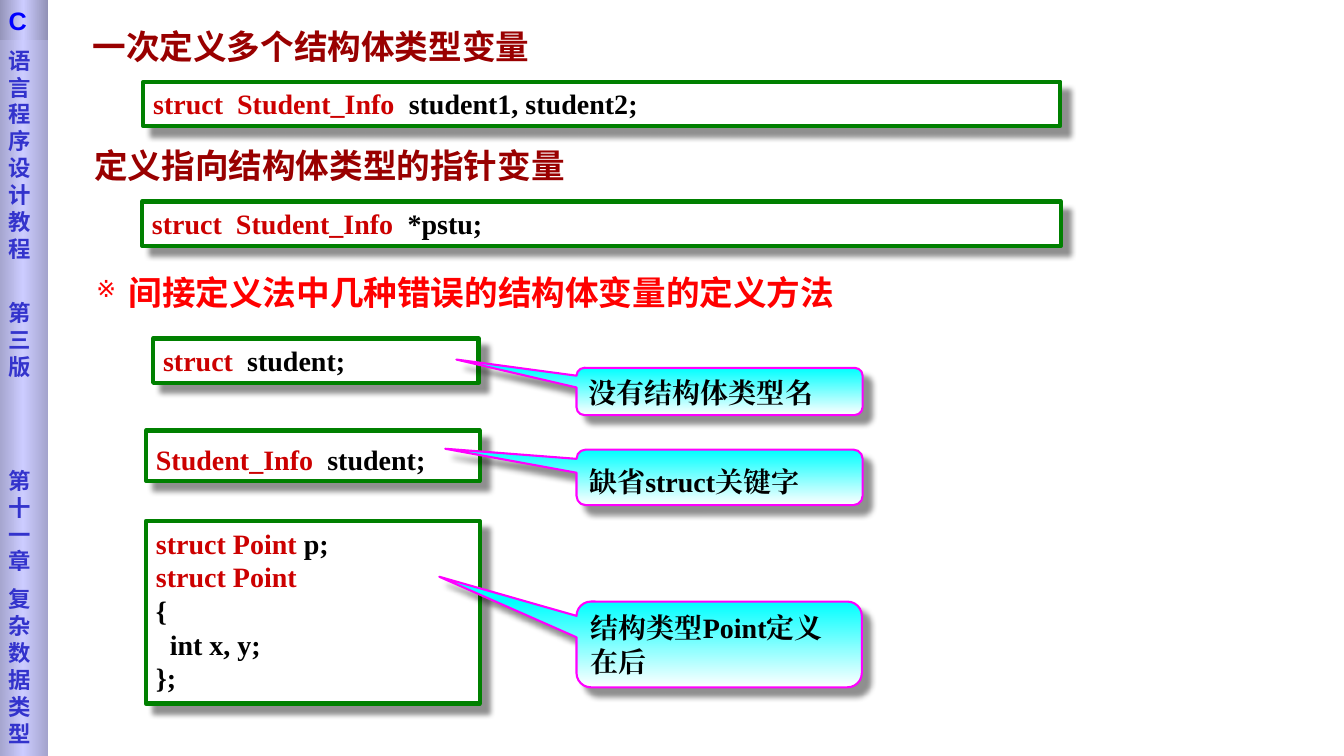
from lxml import etree
from pptx import Presentation
from pptx.dml.color import RGBColor
from pptx.enum.shapes import MSO_SHAPE
from pptx.enum.text import MSO_ANCHOR, MSO_AUTO_SIZE, PP_ALIGN
from pptx.oxml.ns import qn
from pptx.util import Cm, Pt

RECT = MSO_SHAPE.RECTANGLE
CALLOUT = MSO_SHAPE.ROUNDED_RECTANGULAR_CALLOUT
TOP, MIDDLE = MSO_ANCHOR.TOP, MSO_ANCHOR.MIDDLE
LEFT = PP_ALIGN.LEFT
FIXED = MSO_AUTO_SIZE.NONE

WHITE = RGBColor(0xFF, 0xFF, 0xFF)
BLACK = RGBColor(0, 0, 0)
GREEN = RGBColor(0, 0x80, 0)
CRIMSON = RGBColor(0xCC, 0, 0)
MAROON = RGBColor(0x99, 0, 0)
RED = RGBColor(0xFF, 0, 0)
CYAN = RGBColor(0, 0xFF, 0xFF)
PINK = RGBColor(0xFF, 0, 0xFF)
INDIGO = RGBColor(0x33, 0x33, 0xCC)
BLUE = RGBColor(0, 0, 0xFF)
LILAC = RGBColor(0xCC, 0xCC, 0xFF)
DUSK = RGBColor(0xA4, 0xA4, 0xCD)
SLATE = RGBColor(0x92, 0x92, 0xB6)

SERIF, HEAD, SIDE, SANS = "Times New Roman", "Noto Sans CJK SC", "DejaVu Sans", "Arial"


def child(parent, tag, **attrs):
    node = etree.SubElement(parent, qn(tag))
    for key, value in attrs.items():
        node.set(key, str(value))
    return node


def write(shape, lines, size=20, font=SERIF, anchor=TOP, lead=None, gaps=None, top=0.13):
    """Fill a shape with lines, each a list of (text, colour) runs."""
    frame = shape.text_frame
    frame.word_wrap = True
    frame.auto_size = FIXED
    frame.vertical_anchor = anchor
    frame.margin_left = frame.margin_right = Cm(0.25)
    frame.margin_top, frame.margin_bottom = Cm(top), Cm(0.13)
    for i, line in enumerate(lines):
        para = frame.paragraphs[0] if i == 0 else frame.add_paragraph()
        para.alignment = LEFT
        para.line_spacing = Pt(lead or size * 1.2)
        para.space_before = Pt(gaps[i] if gaps else 0)
        for text, color in line:
            run = para.add_run()
            run.text = text
            run.font.size = Pt(size)
            run.font.bold = True
            run.font.name = font
            run.font.color.rgb = color
            child(run.font._element, "a:ea", typeface=font)
    return frame


class Deck:
    """Holds the deck style and the current slide."""

    def __init__(self):
        self.prs = Presentation()
        self.prs.slide_width, self.prs.slide_height = Cm(33.87), Cm(19.05)
        self.slide = self.prs.slides.add_slide(self.prs.slide_layouts[5])

    def shape(self, kind, box):
        item = self.slide.shapes.add_shape(kind, *map(Cm, box))
        item.shadow.inherit = False
        return item

    def shade(self, item):
        effect = item.element.spPr.find(qn("a:effectLst"))
        outer = child(effect, "a:outerShdw", blurRad=Pt(4), dist=Pt(8.4),
                      dir=45 * 60000, algn="ctr", rotWithShape=0)
        child(child(outer, "a:srgbClr", val=BLACK), "a:alpha", val=43000)

    def blend(self, item, colors, angle):
        item.fill.gradient()
        item.fill.gradient_angle = angle
        stops = item.element.spPr.find(qn("a:gradFill")).find(qn("a:gsLst"))
        for stop in list(stops):
            stops.remove(stop)
        for i, color in enumerate(colors):
            stop = child(stops, "a:gs", pos=100000 * i // (len(colors) - 1))
            child(stop, "a:srgbClr", val=color)

    def border(self, item, color, width):
        item.line.color.rgb = color
        item.line.width = Pt(width)

    def title(self, box, text):
        item = self.slide.shapes.title
        item.left, item.top, item.width, item.height = map(Cm, box)
        write(item, [[(text, MAROON)]], size=24, font=HEAD, anchor=MIDDLE)

    def heading(self, box, text, color=MAROON, bullet=None):
        item = self.slide.shapes.add_textbox(*map(Cm, box))
        frame = write(item, [[(text, color)]], size=24, font=HEAD, anchor=MIDDLE)
        if bullet:
            props = frame.paragraphs[0]._p.get_or_add_pPr()
            props.set("marL", str(Cm(0.81)))
            props.set("indent", str(-Cm(0.81)))
            child(props, "a:buSzPct", val=70000)
            child(props, "a:buChar", char=bullet)

    def code(self, box, lines, lead=None):
        item = self.shape(RECT, box)
        item.fill.solid()
        item.fill.fore_color.rgb = WHITE
        self.border(item, GREEN, 3)
        self.shade(item)
        return write(item, lines, lead=lead)

    def callout(self, box, text, tip, lead=None):
        item = self.shape(CALLOUT, box)
        for i, value in enumerate((*tip, 0.167)):
            item.adjustments[i] = value
        self.blend(item, (CYAN, WHITE), 270)
        self.border(item, PINK, 1.5)
        self.shade(item)
        write(item, [[(text, BLACK)]], lead=lead)

    def band(self, box, edge, lines, **style):
        item = self.shape(RECT, box)
        self.blend(item, (edge, LILAC, edge), 0)
        item.line.fill.background()
        write(item, lines, **style)


def main():
    deck = Deck()
    deck.title((2.08, 0.53, 11.99, 1.27), "一次定义多个结构体类型变量")
    deck.heading((2.13, 3.53, 12.85, 1.27), "定义指向结构体类型的指针变量")
    deck.heading((2.18, 6.73, 20.09, 1.27),
                 "间接定义法中几种错误的结构体变量的定义方法", RED, "※")

    name = ("struct  Student_Info  ", CRIMSON)
    point = ("struct Point", CRIMSON)
    deck.code((3.61, 2.06, 23.11, 1.12), [[name, ("student1, student2;", BLACK)]])
    deck.code((3.58, 5.08, 23.16, 1.12), [[name, ("*pstu;", BLACK)]])
    deck.code((3.86, 8.53, 8.2, 1.12), [[("struct ", CRIMSON), (" student;", BLACK)]])
    deck.code((3.68, 10.85, 8.41, 1.27),
              [[("Student_Info", CRIMSON), ("  student;", BLACK)]], lead=28.8)
    frame = deck.code((3.68, 13.13, 8.41, 4.6), [
        [point, (" p;", BLACK)], [point], [("{", BLACK)],
        [("int x, y;", BLACK)], [("};", BLACK)]])
    frame.paragraphs[3]._p.get_or_add_pPr().set("marL", str(Cm(0.35)))

    deck.callout((14.53, 9.27, 7.21, 1.19), "没有结构体类型名", (-0.92, -0.676))
    deck.callout((14.53, 11.33, 7.21, 1.4), "缺省struct关键字", (-0.959, -0.515), 28.8)
    deck.callout((14.53, 15.16, 7.19, 2.16), "结构类型Point定义在后", (-0.981, -0.79))

    parts = ("语言程序设计教程", "第三版", "第十一章", "复杂数据类型")
    deck.band((-0.03, 0, 1.24, 19.05), DUSK, [[(part, INDIGO)] for part in parts],
              size=16, font=SIDE, gaps=(0, 27, 62, 8), top=1.18)
    deck.band((-0.03, 0, 1.24, 1.02), SLATE, [[("C", BLUE)]], size=18, font=SANS)
    deck.prs.save("out.pptx")


if __name__ == "__main__":
    main()
